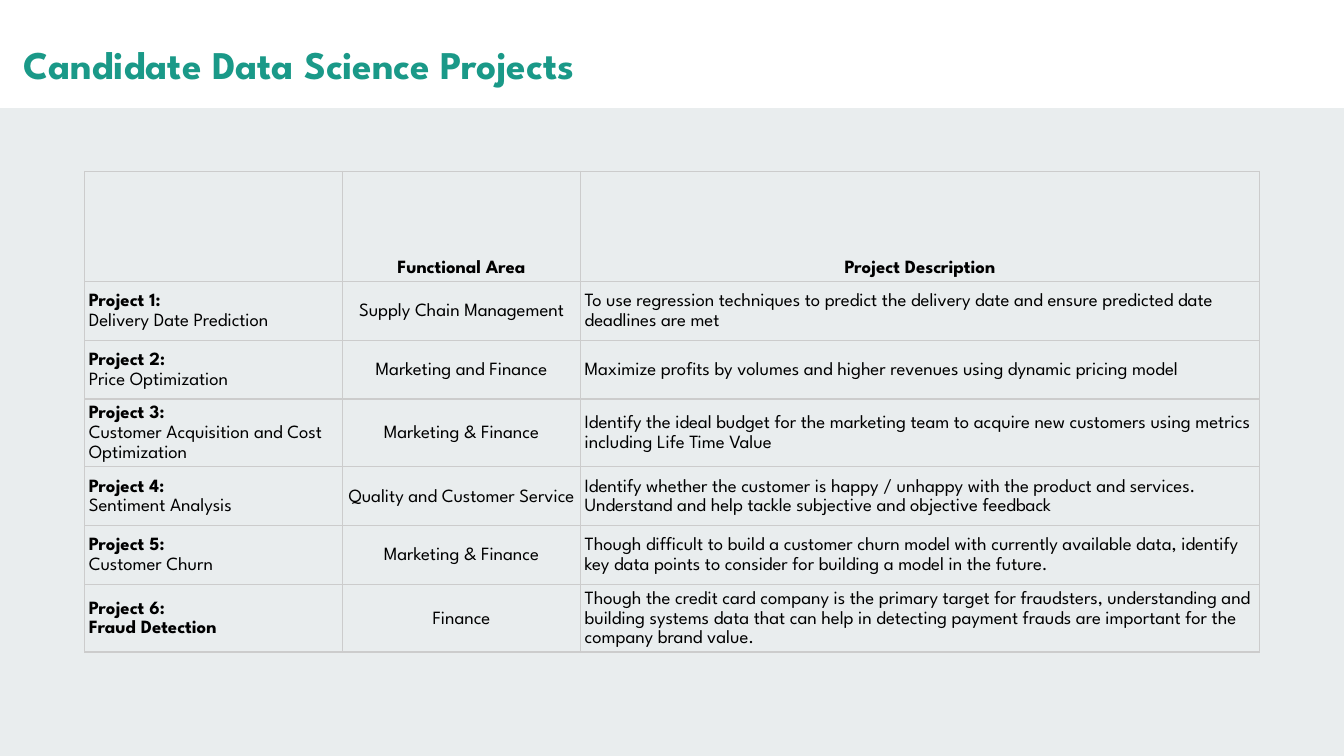
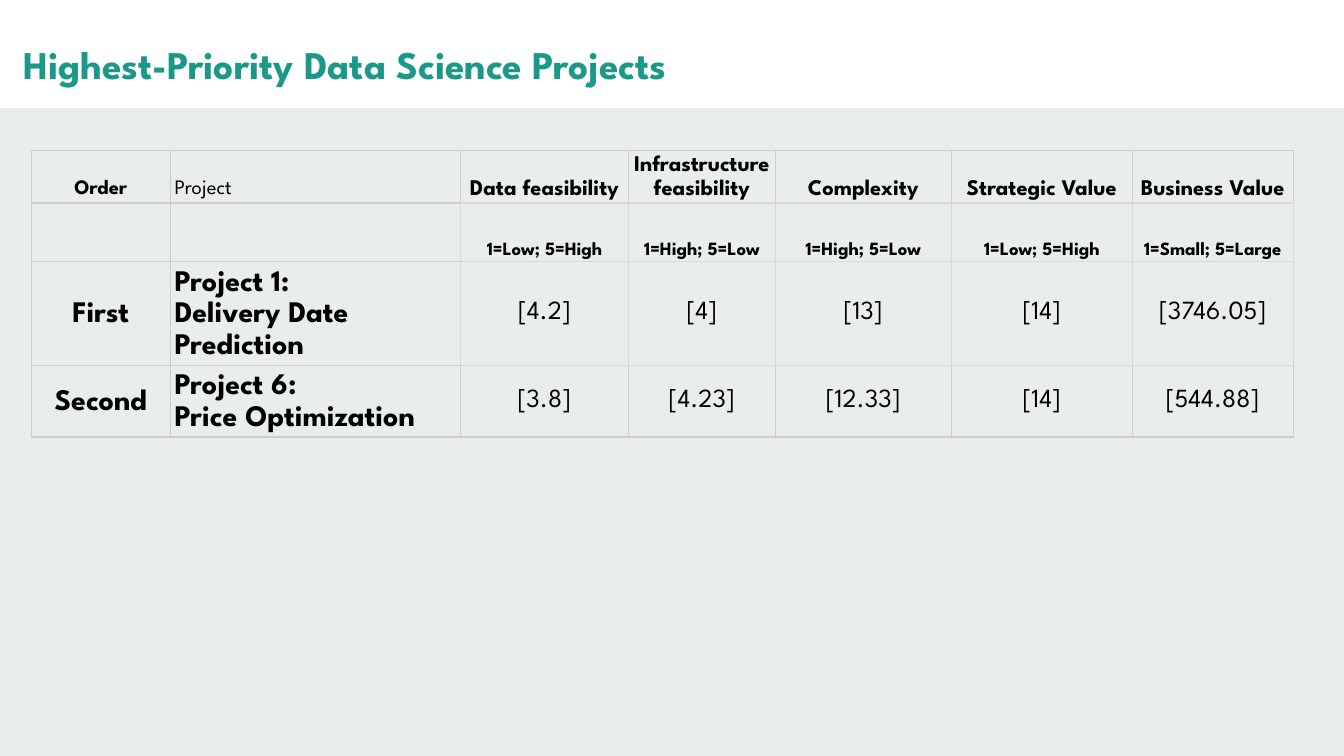
import dataclasses

import lxml.etree
import pptx
import pptx.dml.color
import pptx.enum.shapes
import pptx.enum.text
import pptx.oxml.ns
import pptx.util

Cm = pptx.util.Cm
Pt = pptx.util.Pt
ALIGN = pptx.enum.text.PP_ALIGN
ANCHOR = pptx.enum.text.MSO_ANCHOR

COLOURS = {
    "background": "E9EDEE",
    "band": "FFFFFF",
    "title": "1A9988",
    "text": "000000",
    "border": "CCCCCC",
    "pale_border": "D9D9D9",
}
FONT = "League Spartan"
LINE_PITCH = 1.06
SLIDE_WIDTH, SLIDE_HEIGHT = 25.4, 14.29
BAND_HEIGHT = 2.04
EDGES = {"lnL": (0, -1), "lnR": (0, 1), "lnT": (-1, 0), "lnB": (1, 0)}


@dataclasses.dataclass
class CellStyle:
    """Look of the text in a table cell."""

    size: int = 10
    bold: bool = False
    align: ALIGN = ALIGN.LEFT
    anchor: ANCHOR = ANCHOR.MIDDLE
    pitch: float = LINE_PITCH
    inset: float = 0.08


BODY = CellStyle()
AREA = CellStyle(align=ALIGN.CENTER)
HEADING = CellStyle(bold=True, align=ALIGN.CENTER, anchor=ANCHOR.BOTTOM)
ORDER_HEADING = dataclasses.replace(HEADING, size=11)
PROJECT_HEADING = CellStyle(size=11, anchor=ANCHOR.BOTTOM)
CRITERION = dataclasses.replace(HEADING, size=12, inset=0.05)
SCALE = dataclasses.replace(HEADING, inset=0.05)
RANK = CellStyle(size=16, bold=True, align=ALIGN.CENTER)
RANKED_PROJECT = CellStyle(size=16, bold=True)
SCORE = CellStyle(size=14, align=ALIGN.CENTER, pitch=0.92)

CANDIDATES = [
    ("Delivery Date Prediction", "Supply Chain Management",
     "To use regression techniques to predict the delivery date and ensure "
     "predicted date deadlines are met"),
    ("Price Optimization", "Marketing and Finance",
     "Maximize profits by volumes and higher revenues using dynamic pricing model"),
    ("Customer Acquisition and Cost Optimization", "Marketing & Finance",
     "Identify the ideal budget for the marketing team to acquire new customers "
     "using metrics including Life Time Value"),
    ("Sentiment Analysis", "Quality and Customer Service",
     "Identify whether the customer is happy / unhappy with the product and "
     "services. Understand and help tackle subjective and objective feedback"),
    ("Customer Churn", "Marketing & Finance",
     "Though difficult to build a customer churn model with currently available "
     "data, identify key data points to consider for building a model in the future."),
    ("Fraud Detection", "Finance",
     "Though the credit card company is the primary target for fraudsters, "
     "understanding and building systems data that can help in detecting payment "
     "frauds are important for the company brand value."),
]
CRITERIA = [
    ("Data feasibility", "1=Low; 5=High"),
    ("Infrastructure feasibility", "1=High; 5=Low"),
    ("Complexity", "1=High; 5=Low"),
    ("Strategic Value", "1=Low; 5=High"),
    ("Business Value", "1=Small; 5=Large"),
]
PRIORITIES = [
    ("First", ["Project 1:", "Delivery Date Prediction"],
     ["[4.2]", "[4]", "[13]", "[14]", "[3746.05]"]),
    ("Second", ["Project 6:", "Price Optimization"],
     ["[3.8]", "[4.23]", "[12.33]", "[14]", "[544.88]"]),
]
SCALED_BLOCK = {(row, column) for row in (1, 2) for column in range(2, 7)}


def rgb(name):
    """Return the named colour."""
    return pptx.dml.color.RGBColor.from_string(COLOURS[name])


def add_run(paragraph, text, size, bold, colour="text"):
    """Add one formatted run to a paragraph."""
    run = paragraph.add_run()
    run.text = text
    run.font.name = FONT
    run.font.size = Pt(size)
    run.font.bold = bold
    run.font.color.rgb = rgb(colour)


def add_band(slide):
    """Add the white band behind the title."""
    band = slide.shapes.add_shape(
        pptx.enum.shapes.MSO_SHAPE.RECTANGLE, 0, 0, Cm(SLIDE_WIDTH), Cm(BAND_HEIGHT))
    band.shadow.inherit = False
    band.fill.solid()
    band.fill.fore_color.rgb = rgb("band")
    band.line.fill.background()


def add_title(slide, text):
    """Add the slide title."""
    box = slide.shapes.add_textbox(Cm(0.19), Cm(0.38), Cm(21.44), Cm(0.94))
    frame = box.text_frame
    frame.word_wrap = True
    frame.vertical_anchor = ANCHOR.TOP
    frame.margin_left = frame.margin_right = Cm(0.25)
    frame.margin_top = frame.margin_bottom = Cm(0.25)
    paragraph = frame.paragraphs[0]
    paragraph.line_spacing = 1.15
    add_run(paragraph, text, 21, True, "title")


def add_titled_slide(presentation, title):
    """Add a blank slide with the band and a title."""
    slide = presentation.slides.add_slide(presentation.slide_layouts[6])
    add_band(slide)
    add_title(slide, title)
    return slide


def set_borders(cell, row, column, pale_block):
    """Draw the cell's four borders, paler around cells of the pale block."""
    properties = cell._tc.get_or_add_tcPr()
    qn = pptx.oxml.ns.qn
    for tag, (down, across) in EDGES.items():
        touching = {(row, column), (row + down, column + across)}
        colour = "pale_border" if touching & pale_block else "border"
        line = lxml.etree.SubElement(properties, qn(f"a:{tag}"), w=str(Pt(0.75)))
        fill = lxml.etree.SubElement(line, qn("a:solidFill"))
        lxml.etree.SubElement(fill, qn("a:srgbClr"), val=COLOURS[colour])


def fill_cell(cell, lines, style):
    """Write (text, bold) lines into a cell, one paragraph each."""
    cell.vertical_anchor = style.anchor
    cell.margin_left = cell.margin_right = Cm(0.08)
    cell.margin_top = cell.margin_bottom = Cm(style.inset)
    frame = cell.text_frame
    for index, (text, bold) in enumerate(lines):
        paragraph = frame.add_paragraph() if index else frame.paragraphs[0]
        paragraph.alignment = style.align
        paragraph.line_spacing = Pt(style.size * style.pitch)
        add_run(paragraph, text, style.size, bold)


def add_grid(slide, left, top, widths, heights, rows, pale_block=frozenset()):
    """Add a bordered table from rows of (lines, style) cells."""
    table = slide.shapes.add_table(
        len(heights), len(widths), Cm(left), Cm(top),
        Cm(sum(widths)), Cm(sum(heights))).table
    table.first_row = table.horz_banding = False
    for column, width in zip(table.columns, widths):
        column.width = Cm(width)
    for row, height in zip(table.rows, heights):
        row.height = Cm(height)
    for row_index, row in enumerate(rows):
        for column_index, (lines, style) in enumerate(row):
            cell = table.cell(row_index, column_index)
            set_borders(cell, row_index, column_index, pale_block)
            cell.fill.background()
            fill_cell(cell, lines, style)


def styled(style, *texts):
    """Return a cell whose lines all follow the style."""
    return [(text, style.bold) for text in texts], style


def candidate_rows():
    """Return the rows of the candidate projects table."""
    rows = [[styled(BODY), styled(HEADING, "Functional Area"),
             styled(HEADING, "Project Description")]]
    for number, (name, area, description) in enumerate(CANDIDATES, 1):
        lines = [(f"Project {number}:", True), (name, name == "Fraud Detection")]
        rows.append([(lines, BODY), styled(AREA, area), styled(BODY, description)])
    return rows


def priority_rows():
    """Return the rows of the highest-priority projects table."""
    rows = [
        [styled(ORDER_HEADING, "Order"), styled(PROJECT_HEADING, "Project")]
        + [styled(CRITERION, name) for name, _ in CRITERIA],
        [styled(BODY), styled(BODY)] + [styled(SCALE, scale) for _, scale in CRITERIA],
    ]
    for rank, project, scores in PRIORITIES:
        rows.append([styled(RANK, rank), styled(RANKED_PROJECT, *project)]
                    + [styled(SCORE, score) for score in scores])
    return rows


def main():
    """Build and save the presentation."""
    presentation = pptx.Presentation()
    presentation.slide_width = Cm(SLIDE_WIDTH)
    presentation.slide_height = Cm(SLIDE_HEIGHT)
    background = presentation.slide_master.background.fill
    background.solid()
    background.fore_color.rgb = rgb("background")

    slide = add_titled_slide(presentation, "Candidate Data Science Projects")
    add_grid(slide, 1.6, 3.24, [4.87, 4.5, 12.83],
             [2.08] + [1.11] * len(CANDIDATES), candidate_rows())

    slide = add_titled_slide(presentation, "Highest-Priority Data Science Projects")
    add_grid(slide, 0.59, 2.84, [2.63, 5.48, 3.18, 2.77, 3.33, 3.42, 3.04],
             [0.86, 1.11, 1.11, 1.11], priority_rows(), SCALED_BLOCK)

    presentation.save("out.pptx")


if __name__ == "__main__":
    main()
